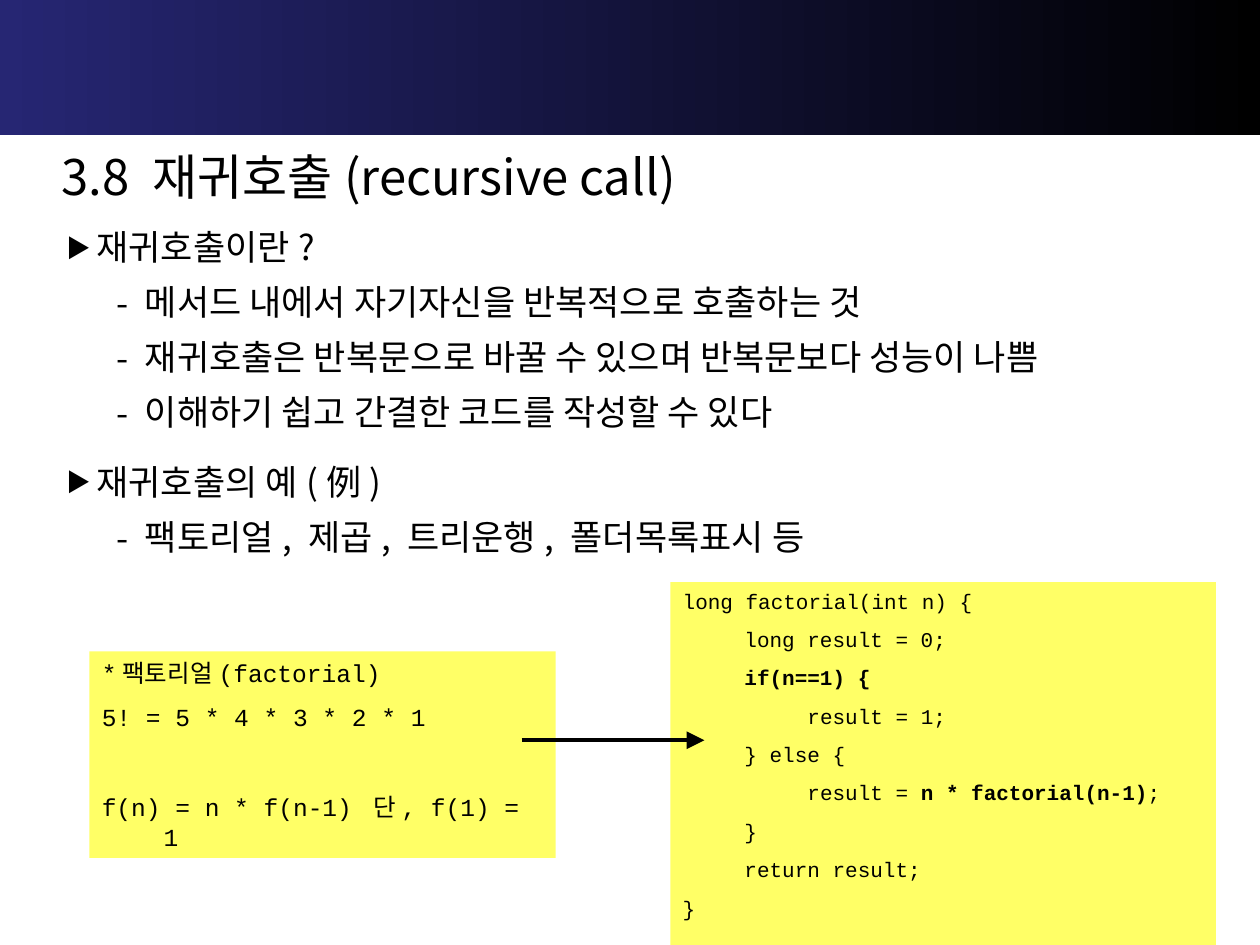
from dataclasses import dataclass

from lxml import etree
from pptx import Presentation
from pptx import util as u
from pptx.dml.color import RGBColor
from pptx.enum import shapes, text
from pptx.oxml.ns import qn

COLUMNS, ROWS = 100, 75
SANS, MONO = "Noto Sans CJK KR", "Courier New"
BLACK, YELLOW, NAVY = "000000", "FFFF66", "262673"
CODE_INDENT, TAB_STEP = 4.9, 10

prs = Presentation()
prs.slide_width, prs.slide_height = u.Inches(10), u.Inches(7.5)


@dataclass
class Area:
    """A place on the slide grid, in columns and rows."""
    col: float
    row: float
    cols: float
    rows: float

    def emu(self) -> list[int]:
        return [across(self.col), down(self.row), across(self.cols), down(self.rows)]


@dataclass
class Level:
    """Bullet, indents in columns, and space before in points."""
    bullet: str
    bullet_percent: int
    margin: float
    hang: float
    space: float


@dataclass
class Line:
    """Text pieces, of which every second one is bold."""
    pieces: list[str]
    space: float


@dataclass
class Panel:
    area: Area
    size: float
    lines: list[Line]


def across(cols: float) -> int:
    return round(prs.slide_width * cols / COLUMNS)


def down(rows: float) -> int:
    return round(prs.slide_height * rows / ROWS)


def rgb(colour: str) -> RGBColor:
    return RGBColor.from_string(colour)


def add_run(paragraph, words: str, size: float, font: str, bold: bool = False) -> None:
    run = paragraph.add_run()
    run.text = words
    run.font.size, run.font.bold = u.Pt(size), bold
    run.font.color.rgb = rgb(BLACK)
    run.font.name = font
    run.font._element.set("kern", "0")
    etree.SubElement(run.font._element, qn("a:ea"), typeface=SANS)


def prepare(shape, area: Area):
    shape.left, shape.top, shape.width, shape.height = area.emu()
    frame = shape.text_frame
    frame.word_wrap = True
    frame.auto_size = text.MSO_AUTO_SIZE.NONE
    frame.vertical_anchor = text.MSO_ANCHOR.TOP
    return frame


def next_paragraph(frame, index: int, space: float, margin: float, hang: float):
    paragraph = frame.add_paragraph() if index else frame.paragraphs[0]
    paragraph.alignment = text.PP_ALIGN.LEFT
    paragraph.space_before = u.Pt(space)
    properties = paragraph._p.get_or_add_pPr()
    properties.set("marL", str(across(margin)))
    properties.set("indent", str(-across(hang)))
    return paragraph


def add_item(frame, index: int, depth: int, words: str, level: Level) -> None:
    paragraph = next_paragraph(frame, index, level.space, level.margin, level.hang)
    paragraph.level = depth
    properties = paragraph._p.get_or_add_pPr()
    etree.SubElement(properties, qn("a:buSzPct"), val=str(level.bullet_percent * 1000))
    etree.SubElement(properties, qn("a:buFont"), typeface=SANS)
    etree.SubElement(properties, qn("a:buChar"), char=level.bullet)
    add_run(paragraph, words, 20, SANS)


def add_rectangle(slide, area: Area):
    rectangle = slide.shapes.add_shape(shapes.MSO_SHAPE.RECTANGLE, *area.emu())
    rectangle.shadow.inherit = False
    rectangle.line.fill.background()
    return rectangle


def add_panel(slide, panel: Panel) -> None:
    rectangle = add_rectangle(slide, panel.area)
    rectangle.fill.solid()
    rectangle.fill.fore_color.rgb = rgb(YELLOW)
    frame = prepare(rectangle, panel.area)
    for index, line in enumerate(panel.lines):
        paragraph = next_paragraph(frame, index, line.space, CODE_INDENT, CODE_INDENT)
        tabs = etree.SubElement(paragraph._p.get_or_add_pPr(), qn("a:tabLst"))
        for step in range(4):
            stop = across(CODE_INDENT + step * TAB_STEP)
            etree.SubElement(tabs, qn("a:tab"), pos=str(stop), algn="l")
        for place, piece in enumerate(line.pieces):
            add_run(paragraph, piece, panel.size, MONO, bold=place % 2 == 1)


def add_arrow(slide, start: float, end: float, row: float) -> None:
    arrow = slide.shapes.add_connector(
        shapes.MSO_CONNECTOR.STRAIGHT, across(start), down(row), across(end), down(row))
    arrow.line.color.rgb = rgb(BLACK)
    arrow.line.width = u.Pt(2)
    etree.SubElement(arrow.line._get_or_add_ln(), qn("a:tailEnd"),
                     type="triangle", w="lg", len="lg")
    etree.SubElement(arrow._element.spPr, qn("a:effectLst"))


LEVELS = [Level("▶", 70, 2.35, 2.35, 16.1), Level("-", 100, 6.2, 2.25, 7.3)]
TOPICS = [
    (0, "재귀호출이란?"),
    (1, "메서드 내에서 자기자신을 반복적으로 호출하는 것"),
    (1, "재귀호출은 반복문으로 바꿀 수 있으며 반복문보다 성능이 나쁨"),
    (1, "이해하기 쉽고 간결한 코드를 작성할 수 있다"),
    (0, "재귀호출의 예(例)"),
    (1, "팩토리얼, 제곱, 트리운행, 폴더목록표시 등"),
]
CODE = [
    ["long factorial(int n) {"],
    ["\tlong result = 0;"],
    ["\t", "if(n==1) {"],
    ["\t\tresult = 1;"],
    ["\t} else {"],
    ["\t\tresult = ", "n * factorial(n-1)", ";"],
    ["\t}"],
    ["\treturn result;"],
    ["}"],
]
code_panel = Panel(Area(53.2, 46.2, 43.3, 29.4), 12, [Line(pieces, 7.5) for pieces in CODE])
formula_panel = Panel(Area(7.1, 51.7, 37, 16.4), 14, [
    Line(["*팩토리얼(factorial)"], 8.8),
    Line(["5! = 5 * 4 * 3 * 2 * 1"], 8.8),
    Line(["f(n) = n * f(n-1) 단, f(1) = 1"], 34.5),
])

slide = prs.slides.add_slide(prs.slide_layouts[1])

# Header band
band = add_rectangle(slide, Area(0, -0.1, COLUMNS, 10.8))
band.fill.gradient()
band.fill.gradient_angle = 0
for stop, colour, position in zip(band.fill.gradient_stops, (NAVY, BLACK), (0, 1)):
    stop.color.rgb, stop.position = rgb(colour), position

# Title
title = prepare(slide.shapes.title, Area(3.9, 11.1, 93.7, 5.7))
add_run(next_paragraph(title, 0, 0, 0, 0), "3.8 재귀호출(recursive call)", 28, SANS)

# Topic list
topics = prepare(slide.placeholders[1], Area(4.3, 17.4, 93.8, 27.3))
for index, (depth, words) in enumerate(TOPICS):
    add_item(topics, index, depth, words, LEVELS[depth])

# Code, formula and the arrow between them
add_panel(slide, code_panel)
add_panel(slide, formula_panel)
add_arrow(slide, 41.4, 55.9, 58.75)

prs.save("out.pptx")
